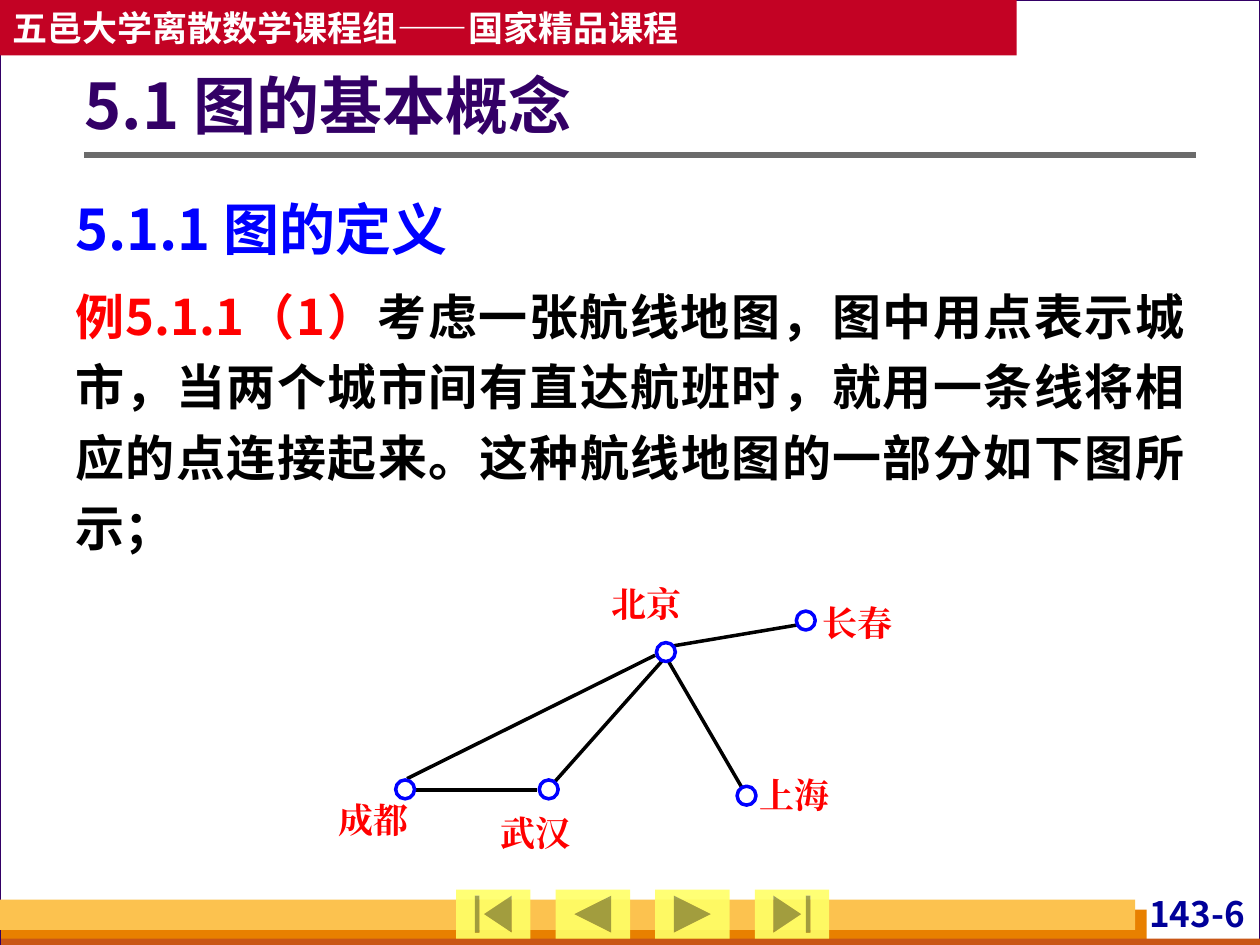
from lxml.etree import SubElement
from pptx import Presentation
from pptx.dml.color import RGBColor
from pptx.enum.shapes import MSO_CONNECTOR, MSO_SHAPE as SHAPE
from pptx.enum.text import MSO_ANCHOR as ANCHOR, PP_ALIGN as ALIGN
from pptx.oxml.ns import qn
from pptx.util import Inches, Pt

SANS, SERIF = "Noto Sans CJK SC", "Times New Roman"
RED, BLUE, WHITE, BLACK, PURPLE = "FF0000", "0000FF", "FFFFFF", "000000", "330066"


def rgb(value):
    return RGBColor.from_string(value)


def apply(target, values):
    for name, value in values.items():
        setattr(target, name, value)


class SlideBuilder:
    insets = (0.1, 0.05, 0.1, 0.05)

    def __init__(self, slide):
        self.slide = slide

    def background(self, color):
        fill = self.slide.background.fill
        fill.solid()
        fill.fore_color.rgb = rgb(color)

    def shape(self, kind, box, fill, line=None, width=0.75, alpha=None):
        sp = self.slide.shapes.add_shape(kind, *map(Inches, box))
        sp.shadow.inherit = False
        sp.fill.solid()
        sp.fill.fore_color.rgb = rgb(fill)
        if alpha:
            color = sp._element.spPr.find(qn("a:solidFill"))[0]
            SubElement(color, qn("a:alpha"), val=str(alpha * 1000))
        if line:
            sp.line.color.rgb = rgb(line)
            sp.line.width = Pt(width)
        else:
            sp.line.fill.background()
        return sp

    def line(self, start, end, color=BLACK, width=2):
        cx = self.slide.shapes.add_connector(
            MSO_CONNECTOR.STRAIGHT, *map(Inches, start + end))
        cx.line.color.rgb = rgb(color)
        cx.line.width = Pt(width)
        SubElement(cx._element.spPr, qn("a:effectLst"))

    def fill_text(self, sp, paragraphs, size, font=SANS, anchor=ANCHOR.TOP,
                  insets=insets, **paragraph_format):
        tf = sp.text_frame
        sides = ("margin_left", "margin_top", "margin_right", "margin_bottom")
        apply(tf, dict(zip(sides, map(Inches, insets))))
        apply(tf, {"word_wrap": True, "vertical_anchor": anchor})
        for i, runs in enumerate(paragraphs):
            p = tf.add_paragraph() if i else tf.paragraphs[0]
            apply(p, {"alignment": ALIGN.LEFT, **paragraph_format})
            if i:
                p.space_before = Pt(7)
            for text, color, *own_size in runs:
                r = p.add_run()
                r.text = text
                points = own_size[0] if own_size else size
                apply(r.font, {"name": font, "size": Pt(points), "bold": True})
                r.font.color.rgb = rgb(color)
                SubElement(r._r.get_or_add_rPr(), qn("a:ea"), typeface=font)

    def text(self, box, paragraphs, size, **style):
        sp = self.slide.shapes.add_textbox(*map(Inches, box))
        self.fill_text(sp, paragraphs, size, **style)


def add_frame(s):
    s.background("D8DADA")
    s.shape(SHAPE.RECTANGLE, (0, 0, 10, 7.5), WHITE, PURPLE)
    banner = s.shape(SHAPE.RECTANGLE, (0, 0, 8.07, 0.44), "C30224")
    s.fill_text(banner, [[("五邑大学离散数学课程组——国家精品课程", WHITE)]], 20,
                anchor=ANCHOR.MIDDLE)
    for box, color in (((0.01, 7.22, 9.09, 0.28), "E88000"),
                       ((0.01, 7.45, 9.99, 0.05), "C95616"),
                       ((0, 7.14, 9.01, 0.24), "FCC24F")):
        s.shape(SHAPE.RECTANGLE, box, color)
    s.text((8.7, 7.08, 1.22, 0.33), [[("143-6", "000099")]], 20,
           insets=(0.04, 0, 0.04, 0), alignment=ALIGN.RIGHT)
    s.line((0.67, 1.23), (9.49, 1.23), "6B6B6B", 3)
    buttons = (SHAPE.ACTION_BUTTON_BEGINNING,
               SHAPE.ACTION_BUTTON_BACK_OR_PREVIOUS,
               SHAPE.ACTION_BUTTON_FORWARD_OR_NEXT,
               SHAPE.ACTION_BUTTON_END)
    for i, kind in enumerate(buttons):
        s.shape(kind, (3.62 + 0.79 * i, 7.06, 0.59, 0.39), "FFFF66", alpha=90)


def add_content(s):
    s.text((0.67, 0.36, 8.82, 1.01), [[("5.1 图的基本概念", PURPLE)]], 36,
           anchor=ANCHOR.MIDDLE, insets=(0, 0.05, 0.1, 0.05), line_spacing=0.9)
    s.text((0.5, 1.39, 9, 3.08), [
        [("5.1.1 图的定义", BLUE, 32)],
        [("例5.1.1（1）", RED),
         ("考虑一张航线地图，图中用点表示城市，当两个城市间有直达航班时，"
          "就用一条线将相应的点连接起来。这种航线地图的一部分如下图所示；", BLACK)],
    ], 28, alignment=ALIGN.JUSTIFY, line_spacing=1.2)


def add_route_map(s):
    routes = (((5.32, 5.13), (6.33, 4.96)),
              ((5.2, 5.2), (3.23, 6.18)),
              ((4.26, 6.27), (3.28, 6.27)),
              ((5.26, 5.24), (4.38, 6.23)),
              ((5.3, 5.24), (5.94, 6.34)))
    cities = (("成都", (3.14, 6.19), (2.69, 6.34)),
              ("北京", (5.21, 5.1), (4.85, 4.62)),
              ("长春", (6.32, 4.85), (6.53, 4.77)),
              ("上海", (5.85, 6.24), (6.03, 6.14)),
              ("武汉", (4.28, 6.19), (3.97, 6.44)))
    for start, end in routes:
        s.line(start, end)
    for name, dot, label in cities:
        s.text(label + (0.79, 0.33), [[(name, RED)]], 20, font=SERIF,
               insets=(0, 0, 0, 0), alignment=ALIGN.JUSTIFY)
        s.shape(SHAPE.OVAL, dot + (0.15, 0.15), WHITE, BLUE, 2)


def main():
    prs = Presentation()
    prs.slide_width, prs.slide_height = Inches(10), Inches(7.5)
    s = SlideBuilder(prs.slides.add_slide(prs.slide_layouts[6]))
    add_frame(s)
    add_content(s)
    add_route_map(s)
    prs.save("out.pptx")


if __name__ == "__main__":
    main()
